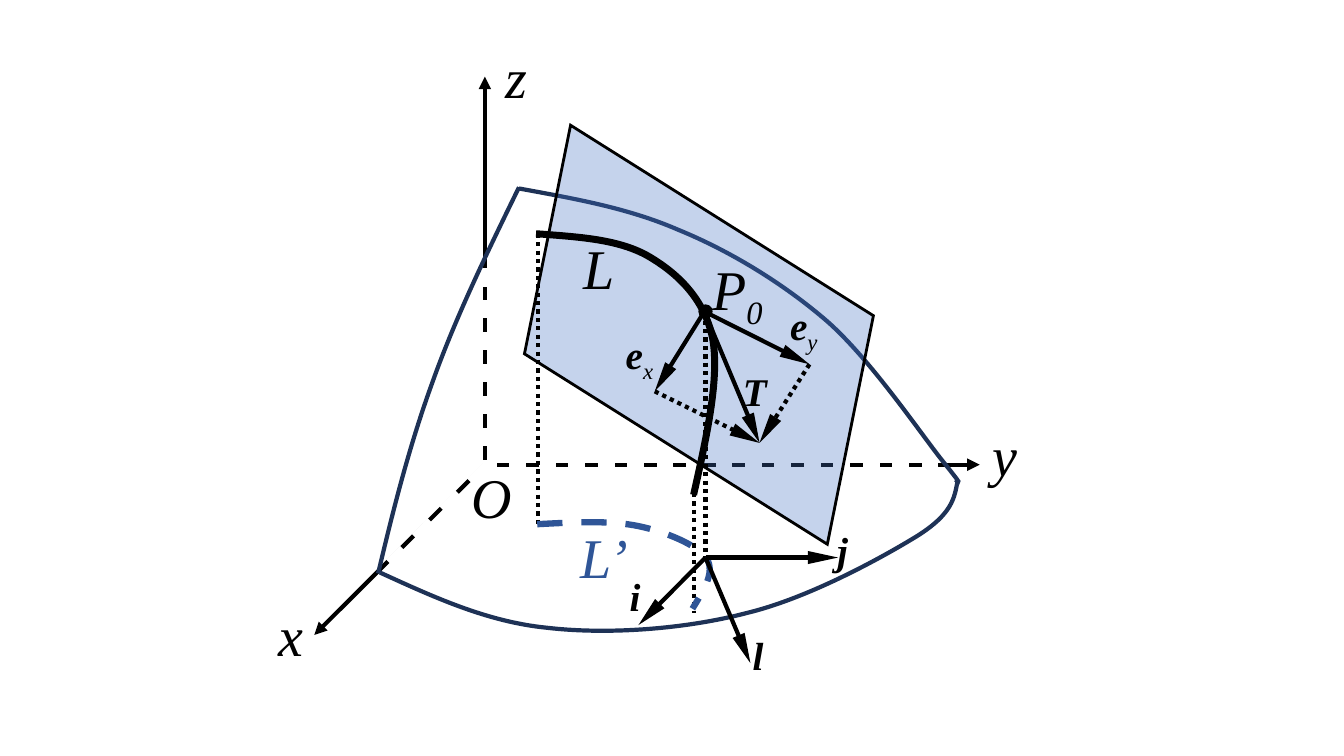
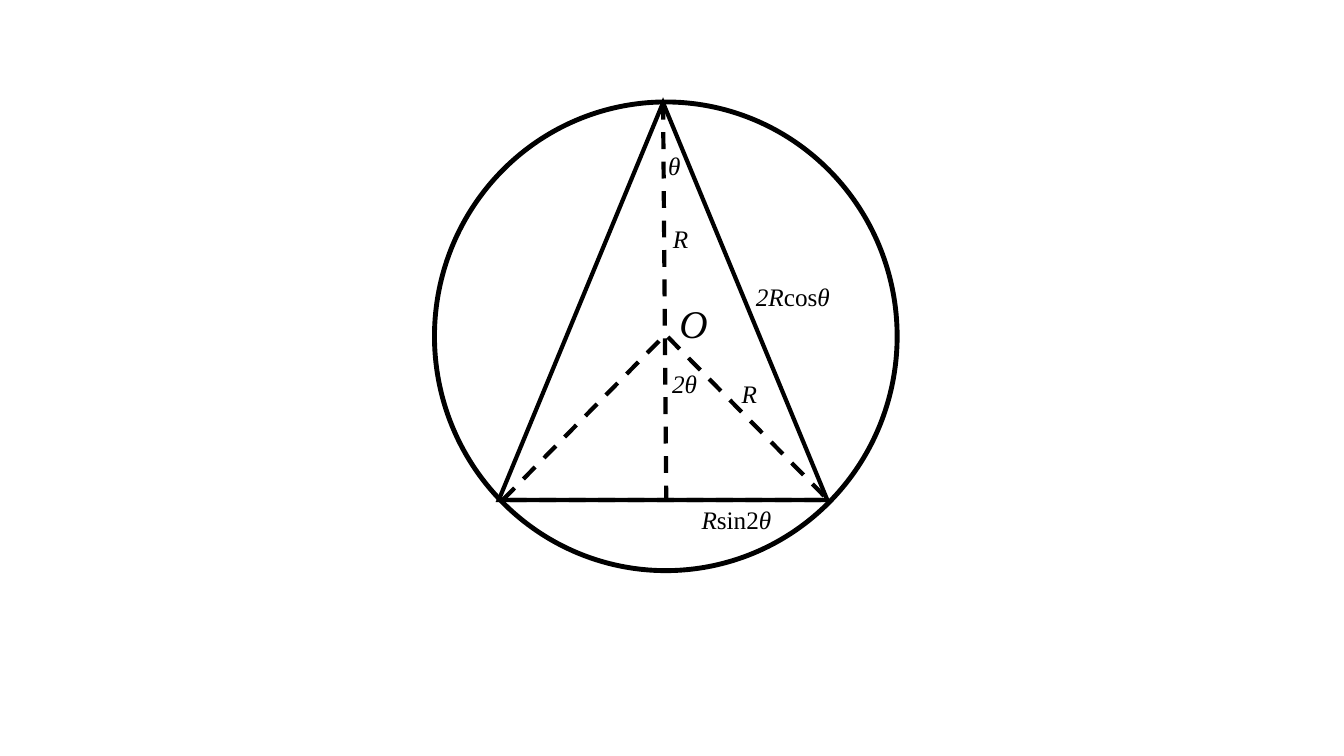
from dataclasses import dataclass
from math import atan2, degrees, hypot

from lxml.etree import SubElement
from pptx import Presentation
from pptx.dml.color import RGBColor as Rgb
from pptx.enum.dml import MSO_LINE_DASH_STYLE as Dash
from pptx.enum.shapes import MSO_CONNECTOR_TYPE as ConnectorType, MSO_SHAPE as Preset
from pptx.enum.text import MSO_AUTO_SIZE as AutoSize
from pptx.oxml.ns import qn
from pptx.util import Cm, Pt

COLORS = {
    "ink": "000000",
    "paper": "FFFFFF",
    "surface": "1E3256",
    "projection": "2F5597",
    "plane": "4472C4",
}
FONT = "Times New Roman"
LABEL_HEIGHTS = {40: 1.96, 28: 1.45, 18: 1.02}
HEAD_WIDTH, HEAD_LENGTH, HEAD_OVERLAP = 0.33, 0.76, 0.06

# Run styles
ITALIC = {"italic": True}
BOLD = {"italic": True, "bold": True}
UPRIGHT = {"italic": False}
SUBSCRIPT = {"italic": True, "baseline": -25000}

Point = tuple[float, float]


@dataclass(frozen=True)
class Stroke:
    width: float = 3
    color: str = "ink"
    dash: Dash | None = None


SOLID = Stroke()
DOTTED = Stroke(dash=Dash.ROUND_DOT)
DASHED = Stroke(dash=Dash.DASH)
SURFACE = Stroke(color="surface")


@dataclass(frozen=True)
class Segment:
    start: Point
    end: Point
    stroke: Stroke = SOLID
    arrow: bool = False


@dataclass(frozen=True)
class Vector:
    tail: Point
    tip: Point
    stroke: Stroke = SOLID


@dataclass(frozen=True)
class Curve:
    """Cubic Bézier chain: one start point, then three points per piece."""
    points: tuple[Point, ...]
    stroke: Stroke


@dataclass(frozen=True)
class Figure:
    preset: Preset
    left: float
    top: float
    width: float
    height: float
    stroke: Stroke | None = None
    fill: str | None = None
    rotation: float = 0


@dataclass(frozen=True)
class Label:
    left: float
    top: float
    size: int
    runs: tuple[tuple[str, dict], ...]
    width: float = 1.45
    color: str = "ink"


def rgb(name: str) -> Rgb:
    return Rgb.from_string(COLORS[name])


def apply_stroke(line, stroke: Stroke) -> None:
    line.color.rgb = rgb(stroke.color)
    formats = {"width": Pt(stroke.width), "dash_style": stroke.dash}
    for name, value in formats.items():
        if value is not None:
            setattr(line, name, value)
    SubElement(line._get_or_add_ln(), qn("a:miter"), lim="800000")


def draw_segment(slide, segment: Segment) -> None:
    ends = (Cm(value) for value in segment.start + segment.end)
    connector = slide.shapes.add_connector(ConnectorType.STRAIGHT, *ends)
    apply_stroke(connector.line, segment.stroke)
    if segment.arrow:
        SubElement(connector.line._get_or_add_ln(), qn("a:tailEnd"), type="triangle")
    SubElement(connector._element.spPr, qn("a:effectLst"))


def draw_figure(slide, figure: Figure):
    box = (Cm(v) for v in (figure.left, figure.top, figure.width, figure.height))
    shape = slide.shapes.add_shape(figure.preset, *box)
    shape.shadow.inherit = False
    shape.rotation = figure.rotation
    if figure.fill:
        shape.fill.solid()
        shape.fill.fore_color.rgb = rgb(figure.fill)
    else:
        shape.fill.background()
    if figure.stroke:
        apply_stroke(shape.line, figure.stroke)
    else:
        shape.line.fill.background()
    return shape


def draw_vector(slide, vector: Vector) -> None:
    """Draw a shaft and a slender triangular head that points along it."""
    (x0, y0), (x1, y1) = vector.tail, vector.tip
    length = hypot(x1 - x0, y1 - y0)
    ux, uy = (x1 - x0) / length, (y1 - y0) / length
    shaft = HEAD_LENGTH - HEAD_OVERLAP
    draw_segment(slide, Segment(vector.tail, (x1 - shaft * ux, y1 - shaft * uy),
                                vector.stroke))
    center_x, center_y = x1 - HEAD_LENGTH / 2 * ux, y1 - HEAD_LENGTH / 2 * uy
    draw_figure(slide, Figure(
        Preset.ISOSCELES_TRIANGLE, center_x - HEAD_WIDTH / 2,
        center_y - HEAD_LENGTH / 2, HEAD_WIDTH, HEAD_LENGTH, fill="ink",
        rotation=degrees(atan2(ux, -uy)) % 360))


def draw_curve(slide, curve: Curve) -> None:
    """Build the control polygon, then turn each three sides into a Bézier piece."""
    start, *controls = [(Cm(x), Cm(y)) for x, y in curve.points]
    builder = slide.shapes.build_freeform(*start)
    builder.add_line_segments(controls, close=False)
    outline = builder.convert_to_shape()
    sides = list(outline._element.spPr.iter(qn("a:lnTo")))
    route = sides[0].getparent()
    for first in range(0, len(sides), 3):
        piece = SubElement(route, qn("a:cubicBezTo"))
        for side in sides[first:first + 3]:
            piece.append(side[0])
            route.remove(side)
    outline.shadow.inherit = False
    outline.fill.background()
    apply_stroke(outline.line, curve.stroke)


def draw_label(slide, label: Label) -> None:
    box = slide.shapes.add_textbox(Cm(label.left), Cm(label.top), Cm(label.width),
                                   Cm(LABEL_HEIGHTS[label.size]))
    frame = box.text_frame
    frame.word_wrap = True
    frame.auto_size = AutoSize.SHAPE_TO_FIT_TEXT
    for text, style in label.runs:
        run = frame.paragraphs[0].add_run()
        run.text = text
        run.font.color.rgb = rgb(label.color)
        formats = {"name": FONT, "size": Pt(label.size)} | style
        baseline = formats.pop("baseline", None)
        for name, value in formats.items():
            setattr(run.font, name, value)
        if baseline:
            run._r.get_or_add_rPr().set("baseline", str(baseline))


DRAWERS = {
    Segment: draw_segment,
    Vector: draw_vector,
    Curve: draw_curve,
    Figure: draw_figure,
    Label: draw_label,
}


def draw_all(slide, items) -> None:
    for item in items:
        DRAWERS[type(item)](slide, item)


ORIGIN = (12.22, 11.71)
P0 = (17.75, 7.85)
EX_TIP, EY_TIP, T_TIP = (16.5, 9.86), (20.4, 9.18), (19.14, 11.16)
FOOT = (17.78, 14.05)

AXES = [Segment(ORIGIN, end, arrow=True)
        for end in ((7.92, 16), (24.69, 11.71), (12.22, 1.93))]

SURFACE_EDGES = [
    Curve(((13.08, 4.72), (12.27, 6.38), (11.48, 8), (10.9, 9.63),
           (10.31, 11.25), (9.91, 12.85), (9.53, 14.45)), SURFACE),
    Curve(((9.58, 14.43), (10.92, 15.04), (12.27, 15.67), (13.79, 15.82),
           (15.34, 16), (17.3, 15.85), (18.85, 15.44),
           (20.4, 15.06), (22.23, 14.05), (23.11, 13.51),
           (24, 12.95), (24.05, 12.55), (24.13, 12.14)), SURFACE),
    Curve(((13.08, 4.75), (14.43, 5), (15.8, 5.23), (17.09, 5.79),
           (18.39, 6.32), (19.74, 7.14), (20.85, 8.1),
           (21.95, 9.07), (23.22, 10.95), (23.75, 11.61),
           (24.28, 12.27), (24.18, 12.17), (24.08, 12.09)), SURFACE),
]

# White dashes break up the parts of the axes behind the surface
HIDDEN_AXIS_GAPS = [
    Segment(start, end, Stroke(width, "paper", Dash.DASH))
    for start, end, width in (
        ((23.65, 11.71), ORIGIN, 3),
        ((12.22, 6.76), ORIGIN, 3.25),
        (ORIGIN, (9.78, 14.15), 4),
    )
]

TANGENT_PLANE = Figure(Preset.PARALLELOGRAM, 13.08, 4.22, 9.07, 8.43,
                       Stroke(2), "plane", 281.4)

PATH_AND_VECTORS = [
    Figure(Preset.OVAL, 17.6, 7.67, 0.36, 0.36, fill="ink"),
    Curve(((13.51, 5.89), (14.55, 5.97), (15.57, 6.02), (16.33, 6.45),
           (17.07, 6.88), (17.75, 7.52), (17.96, 8.53),
           (18.14, 9.53), (17.81, 11), (17.48, 12.47)), Stroke(5)),
    Vector(EY_TIP, T_TIP, DOTTED),
    Vector(EX_TIP, T_TIP, DOTTED),
    *(Vector(P0, tip) for tip in (EY_TIP, EX_TIP, T_TIP)),
    *(Segment((x, top), (x, bottom), DOTTED) for x, top, bottom in (
        (13.56, 5.89, 13.26), (17.78, 8.08, 14.15), (17.48, 12.42, 15.44))),
    Curve(((13.54, 13.21), (14.48, 13.16), (15.39, 13.11), (16.1, 13.26),
           (16.81, 13.41), (17.58, 13.74), (17.81, 14.07),
           (18.03, 14.43), (17.73, 14.88), (17.45, 15.34)),
          Stroke(4.5, "projection", Dash.DASH)),
    *(Vector(FOOT, tip) for tip in ((18.91, 16.71), (16.09, 15.75), (21.12, 14.05))),
]

SURFACE_LABELS = [
    Label(6.78, 15.02, 40, (("x", ITALIC),)),
    Label(24.77, 10.46, 40, (("y", ITALIC),)),
    Label(12.5, 0.94, 40, (("z", ITALIC),)),
    Label(11.63, 11.53, 40, (("O", ITALIC),)),
    Label(17.7, 6.28, 40, (("P", ITALIC), ("0", SUBSCRIPT)), 2.21),
    Label(15.62, 14.3, 28, (("i", BOLD),)),
    Label(20.85, 13.13, 28, (("j", BOLD),), 2.84),
    Label(18.72, 15.78, 28, (("l", BOLD),), 2.84),
    Label(15.52, 8.21, 28, (("e", BOLD), ("x", SUBSCRIPT))),
    Label(19.66, 7.47, 28, (("e", BOLD), ("y", SUBSCRIPT))),
    Label(18.47, 9.12, 28, (("T", BOLD),)),
    Label(14.45, 5.77, 40, (("L", ITALIC),)),
    Label(14.38, 13.03, 40, (("L’", ITALIC),), 2.03, "projection"),
]

INSCRIBED_TRIANGLE = [
    Figure(Preset.OVAL, 10.95, 2.57, 11.66, 11.81, Stroke(3.5)),
    Figure(Preset.ISOSCELES_TRIANGLE, 12.57, 2.59, 8.28, 10.01, SOLID),
    Figure(Preset.ISOSCELES_TRIANGLE, 12.67, 8.43, 8.2, 4.17, DASHED),
    Segment((16.71, 2.59), (16.79, 12.6), DASHED),
    Label(16.87, 7.42, 28, (("O", ITALIC),)),
    Label(16.71, 5.51, 18, (("R", ITALIC),)),
    Label(18.8, 6.96, 18, (("2R", ITALIC), ("cos", UPRIGHT), ("θ", ITALIC)), 3.38),
    Label(16.59, 3.66, 18, (("θ", ITALIC),), 1.17),
    Label(16.69, 9.15, 18, (("2θ", ITALIC),), 1.17),
    Label(18.44, 9.4, 18, (("R", ITALIC),)),
    Label(17.43, 12.58, 18, (("R", ITALIC), ("sin2", UPRIGHT), ("θ", ITALIC)), 2.97),
]


def draw_tangent_plane(slide) -> None:
    plane = draw_figure(slide, TANGENT_PLANE)
    plane.adjustments[0] = 0.379
    fill_color = plane._element.spPr.find(qn("a:solidFill")).find(qn("a:srgbClr"))
    SubElement(fill_color, qn("a:alpha"), val="31000")


def main() -> None:
    deck = Presentation()
    deck.slide_width, deck.slide_height = Cm(33.87), Cm(19.05)
    blank = deck.slide_layouts[6]

    surface = deck.slides.add_slide(blank)
    draw_all(surface, AXES + SURFACE_EDGES + HIDDEN_AXIS_GAPS)
    draw_tangent_plane(surface)
    draw_all(surface, PATH_AND_VECTORS + SURFACE_LABELS)

    draw_all(deck.slides.add_slide(blank), INSCRIBED_TRIANGLE)
    deck.save("out.pptx")


if __name__ == "__main__":
    main()
